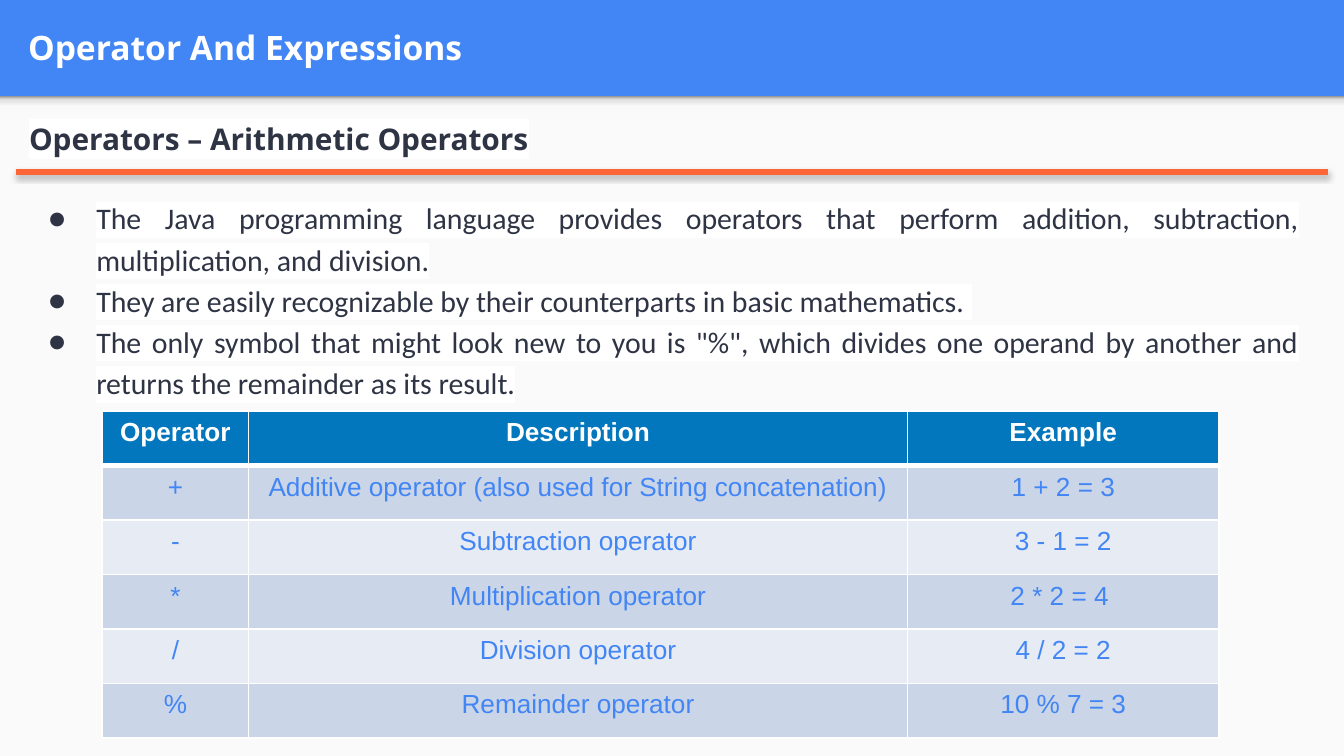
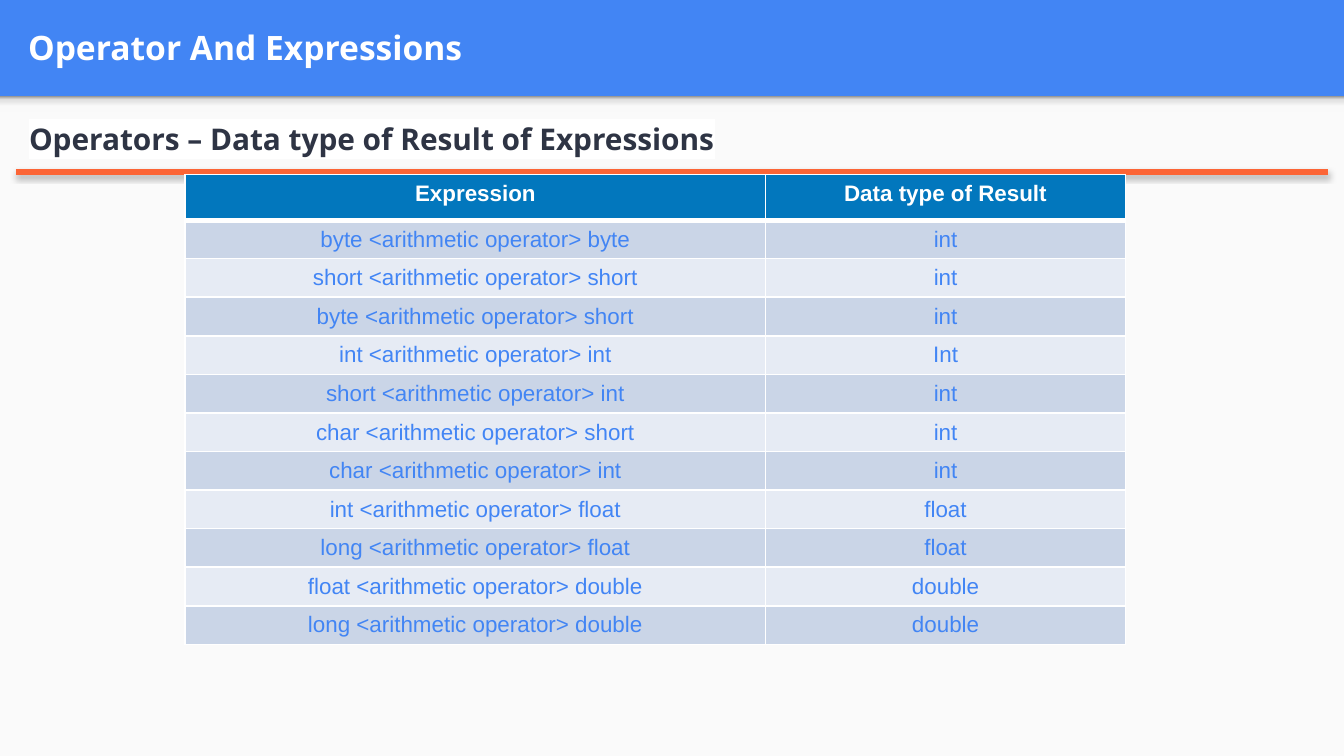
from lxml import etree
from pptx import Presentation
from pptx.dml import color
from pptx.enum import shapes, text
from pptx.oxml import ns
from pptx.util import Cm, Pt

SLIDE_WIDTH, SLIDE_HEIGHT = 25.4, 14.29
BAND_HEIGHT = 1.82
BLUE, PANEL, INK, ORANGE, WHITE = "4285F4", "FAFAFA", "2E3444", "FC6536", "FFFFFF"
HEADER_FILL, ROW_FILLS = "0277BD", ("CAD5E7", "E6EBF4")
BAND_SHADOW = ((0, "F9F9F9"), (36, "F9F9F9"), (80, "DEDEDE"), (100, "999999"))
HEADING_FONT, BODY_FONT, TABLE_FONT = "Open Sans", "Calibri", "Arial"
TITLE = "Operator And Expressions"
LAYOUT_WITH_BODY, LAYOUT_TITLE_ONLY = 1, 5

SLIDES = [
    {
        "heading": "Operators – Arithmetic Operators",
        "bullets": [
            "The Java programming language provides operators that perform "
            "addition, subtraction, multiplication, and division.",
            "They are easily recognizable by their counterparts in basic mathematics. ",
            'The only symbol that might look new to you is "%", which divides one '
            "operand by another and returns the remainder as its result.",
        ],
        "table": {
            "left": 1.93, "top": 7.77, "columns": (2.77, 12.45, 5.89),
            "header_height": 1.03, "row_height": 1.03, "size": 14,
            "rows": [
                ("Operator", "Description", "Example"),
                ("+", "Additive operator (also used for String concatenation)", "1 + 2 = 3"),
                ("-", "Subtraction operator", "3 - 1 = 2"),
                ("*", "Multiplication operator", "2 * 2 = 4 "),
                ("/", "Division operator", "4 / 2 = 2"),
                ("%", "Remainder operator", "10 % 7 = 3"),
            ],
        },
    },
    {
        "heading": "Operators – Data type of Result of Expressions",
        "bullets": [],
        "table": {
            "left": 3.5, "top": 3.3, "columns": (10.97, 6.8),
            "header_height": 0.86, "row_height": 0.64, "size": 12,
            "rows": [("Expression", "Data type of Result")] + [
                (f"{first} <arithmetic operator> {second}", result)
                for first, second, result in (
                    ("byte", "byte", "int"),
                    ("short", "short", "int"),
                    ("byte", "short", "int"),
                    ("int", "int", "Int"),
                    ("short", "int", "int"),
                    ("char", "short", "int"),
                    ("char", "int", "int"),
                    ("int", "float", "float"),
                    ("long", "float", "float"),
                    ("float", "double", "double"),
                    ("long", "double", "double"),
                )
            ],
        },
    },
]


def rgb(value):
    """Turn a hex string into a colour."""
    return color.RGBColor.from_string(value)


def add_xml(parent, tag, **attributes):
    """Append a DrawingML element and return it."""
    return etree.SubElement(parent, ns.qn(f"a:{tag}"), attributes)


def write(paragraph, content, size=16, colour=INK, font=BODY_FONT, bold=False,
          align=text.PP_ALIGN.LEFT, spacing=1.0, highlight=None):
    """Write formatted text into a paragraph."""
    paragraph.alignment = align
    paragraph.line_spacing = spacing
    paragraph.space_before = Pt(0)
    run = paragraph.add_run()
    run.text = content
    run.font.size = Pt(size)
    run.font.bold = bold
    run.font.color.rgb = rgb(colour)
    if highlight:
        add_xml(add_xml(run.font._element, "highlight"), "srgbClr", val=highlight)
    run.font.name = font


def place(shape, left, top, width, height):
    """Set the position and size of a shape."""
    shape.left, shape.top = Cm(left), Cm(top)
    shape.width, shape.height = Cm(width), Cm(height)


def set_frame(shape, anchor=text.MSO_ANCHOR.TOP):
    """Give a text frame equal margins, wrapping and an anchor."""
    frame = shape.text_frame
    frame.word_wrap = True
    frame.auto_size = text.MSO_AUTO_SIZE.NONE
    frame.vertical_anchor = anchor
    frame.margin_left = frame.margin_right = Cm(0.25)
    frame.margin_top = frame.margin_bottom = Cm(0.25)
    return frame


def add_rectangle(slide, top, height, fill):
    """Add a full-width rectangle without outline."""
    shape = slide.shapes.add_shape(shapes.MSO_SHAPE.RECTANGLE, 0, Cm(top),
                                   Cm(SLIDE_WIDTH), Cm(height))
    shape.shadow.inherit = False
    shape.line.fill.background()
    shape.fill.solid()
    shape.fill.fore_color.rgb = rgb(fill)
    return shape


def set_gradient(shape, stops):
    """Fill a shape with a gradient that runs from bottom to top."""
    shape.fill.gradient()
    shape.fill.gradient_angle = 90
    stop_list = shape._element.spPr.find(".//" + ns.qn("a:gsLst"))
    for old_stop in list(stop_list):
        stop_list.remove(old_stop)
    for position, colour in stops:
        stop = add_xml(stop_list, "gs", pos=str(position * 1000))
        add_xml(stop, "srgbClr", val=colour)


def add_rule(slide):
    """Draw the orange line with a soft shadow under the heading."""
    rule = slide.shapes.add_connector(shapes.MSO_CONNECTOR.STRAIGHT,
                                      Cm(0.3), Cm(3.25), Cm(25.1), Cm(3.25))
    rule.line.color.rgb = rgb(ORANGE)
    rule.line.width = Pt(3)
    effects = add_xml(rule._element.spPr, "effectLst")
    shadow = add_xml(effects, "outerShdw", blurRad=str(Pt(3.1)), dist=str(Pt(1.8)),
                     dir="5400000", rotWithShape="0")
    add_xml(add_xml(shadow, "srgbClr", val="000000"), "alpha", val="35000")


def add_frame(slide, heading):
    """Add what all slides share: background, panel, title, heading and rule."""
    slide.background.fill.solid()
    slide.background.fill.fore_color.rgb = rgb(BLUE)
    add_rectangle(slide, BAND_HEIGHT, SLIDE_HEIGHT - BAND_HEIGHT, PANEL)
    set_gradient(add_rectangle(slide, BAND_HEIGHT, 0.3, PANEL), BAND_SHADOW)

    title = slide.shapes.title
    place(title, 0.28, 0.05, 24.51, 1.68)
    write(set_frame(title, text.MSO_ANCHOR.MIDDLE).paragraphs[0], TITLE,
          size=18, colour=WHITE, font=HEADING_FONT, bold=True)

    box = slide.shapes.add_textbox(Cm(0.3), Cm(1.93), Cm(24.51), Cm(1.3))
    write(set_frame(box).paragraphs[0], heading, font=HEADING_FONT, bold=True,
          spacing=1.15, highlight=WHITE)
    add_rule(slide)


def add_bullets(slide, items):
    """Fill the body placeholder with a justified bullet list."""
    body = slide.placeholders[1]
    # Later shapes lie above, so the list moves in front of the panel.
    slide.shapes._spTree.append(body._element)
    place(body, 0.3, 3.43, 24.51, 4.32)
    frame = set_frame(body)
    for index, item in enumerate(items):
        paragraph = frame.paragraphs[0] if index == 0 else frame.add_paragraph()
        write(paragraph, item, align=text.PP_ALIGN.JUSTIFY, spacing=1.15, highlight=WHITE)
        properties = paragraph._p.get_or_add_pPr()
        properties.set("marL", str(Cm(1.27)))
        properties.set("indent", str(Cm(-0.91)))
        add_xml(add_xml(properties, "buClr"), "srgbClr", val=INK)
        add_xml(properties, "buFont", typeface=BODY_FONT)
        add_xml(properties, "buChar", char="●")


def set_borders(cell, top=1, bottom=1):
    """Draw white borders around a cell, widths in points."""
    properties = cell._tc.get_or_add_tcPr()
    for index, (side, width) in enumerate(
            (("lnL", 1), ("lnR", 1), ("lnT", top), ("lnB", bottom))):
        line = add_xml(properties, side, w=str(Pt(width)))
        add_xml(add_xml(line, "solidFill"), "srgbClr", val=WHITE)
        properties.insert(index, line)


def add_table(slide, left, top, columns, header_height, row_height, size, rows):
    """Add a table with a dark header and alternating row fills."""
    height = header_height + row_height * (len(rows) - 1)
    table = slide.shapes.add_table(len(rows), len(columns), Cm(left), Cm(top),
                                   Cm(sum(columns)), Cm(height)).table
    for column, width in zip(table.columns, columns):
        column.width = Cm(width)
    for row_index, values in enumerate(rows):
        header = row_index == 0
        table.rows[row_index].height = Cm(header_height if header else row_height)
        for column_index, value in enumerate(values):
            cell = table.cell(row_index, column_index)
            cell.fill.solid()
            cell.fill.fore_color.rgb = rgb(
                HEADER_FILL if header else ROW_FILLS[(row_index - 1) % 2])
            set_borders(cell, top=3 if row_index == 1 else 1, bottom=3 if header else 1)
            write(cell.text_frame.paragraphs[0], value, size=size, font=TABLE_FONT,
                  colour=WHITE if header else BLUE, bold=header,
                  align=text.PP_ALIGN.CENTER)


def main():
    """Build the presentation and save it."""
    presentation = Presentation()
    presentation.slide_width = Cm(SLIDE_WIDTH)
    presentation.slide_height = Cm(SLIDE_HEIGHT)
    for content in SLIDES:
        layout = LAYOUT_WITH_BODY if content["bullets"] else LAYOUT_TITLE_ONLY
        slide = presentation.slides.add_slide(presentation.slide_layouts[layout])
        add_frame(slide, content["heading"])
        if content["bullets"]:
            add_bullets(slide, content["bullets"])
        add_table(slide, **content["table"])
    presentation.save("out.pptx")


main()
